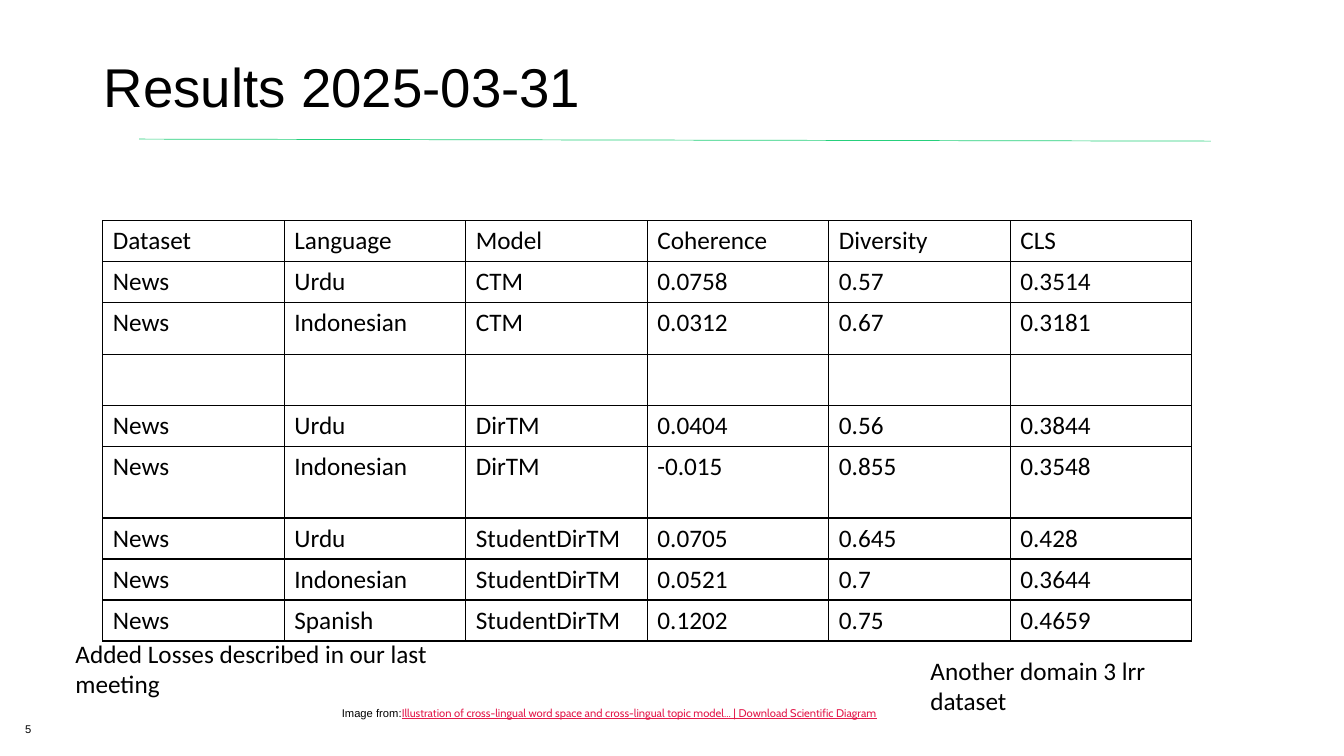
"""Build the results slide with its table of topic model scores."""
from lxml.etree import SubElement
from pptx import Presentation
from pptx.dml.color import RGBColor
from pptx.enum.shapes import MSO_CONNECTOR as Connector
from pptx.enum.text import MSO_ANCHOR as Anchor
from pptx.oxml import parse_xml
from pptx.oxml.ns import nsdecls, qn
from pptx.util import Inches, Pt

BLACK, GREEN, RED = "000000", "26D07C", "E31B4C"

SCORES = [
    ("Dataset", "Language", "Model", "Coherence", "Diversity", "CLS"),
    ("News", "Urdu", "CTM", "0.0758", "0.57", "0.3514"),
    ("News", "Indonesian", "CTM", "0.0312", "0.67", "0.3181"),
    ("", "", "", "", "", ""),
    ("News", "Urdu", "DirTM", "0.0404", "0.56", "0.3844"),
    ("News", "Indonesian", "DirTM", "-0.015", "0.855", "0.3548"),
    ("News", "Urdu", "StudentDirTM", "0.0705", "0.645", "0.428"),
    ("News", "Indonesian", "StudentDirTM", "0.0521", "0.7", "0.3644"),
    ("News", "Spanish", "StudentDirTM", "0.1202", "0.75", "0.4659"),
]
ROW_HEIGHT = 0.407
TALL_ROWS = {2: 0.51, 3: 0.51, 5: 0.71}
TABLE_LEFT, TABLE_TOP, TABLE_WIDTH = 1.02, 2.19, 10.8

TITLE = "Results 2025-03-31"
CREDIT = "Image from:"
CREDIT_LINK = ("Illustration of cross-lingual word space and cross-lingual "
               "topic model... | Download Scientific Diagram")
NOTES = [
    ("Added Losses described in our last meeting", (0.65, 6.28, 4.18, 0.71)),
    ("Another domain 3 lrr dataset", (9.13, 6.45, 2.45, 0.71)),
]


def color(value):
    return RGBColor.from_string(value)


def style(font, name, size, value=BLACK):
    font.name, font.size = name, Pt(size)
    font.color.rgb = color(value)


def add_text(page, text, place, name, size, inset=True, anchor=Anchor.TOP):
    box = page.shapes.add_textbox(*map(Inches, place))
    frame = box.text_frame
    frame.word_wrap = True
    frame.vertical_anchor = anchor
    if not inset:
        frame.margin_left = frame.margin_right = 0
        frame.margin_top = frame.margin_bottom = 0
    para = frame.paragraphs[0]
    para.text = text
    style(para.font, name, size)
    return para


def add_rule(page):
    ends = map(Inches, (1.38, 1.38, 12.01, 1.4))
    rule = page.shapes.add_connector(Connector.STRAIGHT, *ends)
    rule.line.color.rgb = color(GREEN)
    rule.line.width = Pt(0.5)
    SubElement(rule._element.spPr, qn("a:effectLst"))


def add_borders(cell):
    properties = cell._tc.get_or_add_tcPr()
    for index, side in enumerate(("lnL", "lnR", "lnT", "lnB")):
        properties.insert(index, parse_xml(
            f'<a:{side} {nsdecls("a")} w="{Pt(1)}"><a:solidFill>'
            f'<a:srgbClr val="{BLACK}"/></a:solidFill></a:{side}>'))


def add_scores(page):
    heights = [TALL_ROWS.get(row, ROW_HEIGHT) for row in range(len(SCORES))]
    place = (TABLE_LEFT, TABLE_TOP, TABLE_WIDTH, sum(heights))
    table = page.shapes.add_table(
        len(SCORES), len(SCORES[0]), *map(Inches, place)).table
    table.first_row = table.horz_banding = False
    for row, height in zip(table.rows, heights):
        row.height = Inches(height)
    for row, values in enumerate(SCORES):
        for column, value in enumerate(values):
            cell = table.cell(row, column)
            cell.fill.background()
            add_borders(cell)
            para = cell.text_frame.paragraphs[0]
            para.text = value
            style(para.font, "Calibri", 18)


def main():
    deck = Presentation()
    deck.slide_width, deck.slide_height = Inches(13.33), Inches(7.5)
    page = deck.slides.add_slide(deck.slide_layouts[6])
    add_rule(page)
    title = add_text(page, TITLE, (1.03, 0.2, 11.32, 1.38), "Arial", 39,
                     inset=False, anchor=Anchor.MIDDLE)
    title.line_spacing = 0.9
    credit = add_text(page, CREDIT, (3.39, 6.97, 7.3, 0.2), "Arial", 8,
                      inset=False, anchor=Anchor.MIDDLE)
    span = credit.add_run()
    span.text = CREDIT_LINK
    style(span.font, "Cabin", 8, RED)
    span.font.underline = True
    add_text(page, "5", (0.25, 7.04, 0.5, 0.26), "Arial", 8,
             inset=False, anchor=Anchor.BOTTOM)
    add_scores(page)
    for text, place in NOTES:
        add_text(page, text, place, "Calibri", 18)
    deck.save("out.pptx")


if __name__ == "__main__":
    main()
